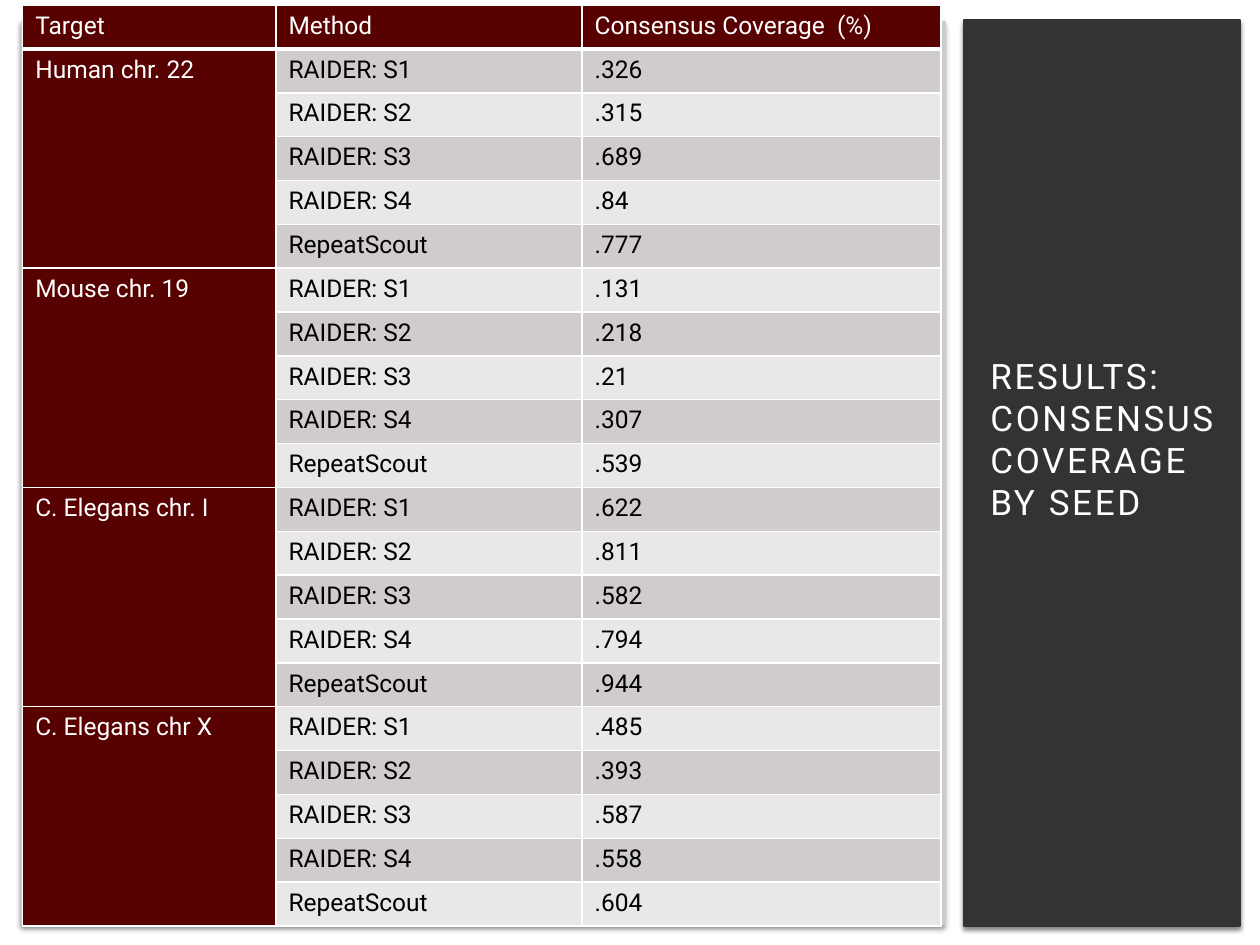
from dataclasses import dataclass

from lxml.etree import SubElement
from pptx import Presentation
from pptx.dml.color import RGBColor
from pptx.enum.shapes import MSO_SHAPE
from pptx.enum.text import MSO_ANCHOR, MSO_AUTO_SIZE, PP_ALIGN
from pptx.oxml.ns import qn
from pptx.util import Inches, Pt


@dataclass(frozen=True)
class Theme:
    font: str = "Roboto"
    background: str = "FFFFFF"
    panel: str = "CCCCCC"
    sidebar: str = "333333"
    heading: str = "580101"
    bands: tuple = ("D1CCCC", "EAE7E7")
    light: str = "FFFFFF"
    dark: str = "000000"
    title_size: int = 20
    table_size: int = 14


class SlideBuilder:
    def __init__(self, presentation, theme):
        self.theme = theme
        self.slide = presentation.slides.add_slide(presentation.slide_layouts[5])
        fill = self.slide.background.fill
        fill.solid()
        fill.fore_color.rgb = RGBColor.from_string(theme.background)

    def add_run(self, paragraph, text, size, color):
        run = paragraph.add_run()
        run.text = text
        run.font.name = self.theme.font
        run.font.size = Pt(size)
        run.font.bold = False
        run.font.color.rgb = RGBColor.from_string(color)
        return run

    def add_panel(self, left, top, width, height, color):
        shape = self.slide.shapes.add_shape(
            MSO_SHAPE.RECTANGLE, Inches(left), Inches(top), Inches(width), Inches(height)
        )
        shape.fill.solid()
        shape.fill.fore_color.rgb = RGBColor.from_string(color)
        shape.line.color.rgb = RGBColor.from_string(color)
        shape.line.width = Pt(0.79)
        shape.shadow.inherit = False
        effects = shape._element.spPr.find(qn("a:effectLst"))
        shadow = SubElement(
            effects, qn("a:outerShdw"),
            blurRad=str(Pt(2.5)), dist=str(Pt(2)), dir="5400000", rotWithShape="0",
        )
        color_element = SubElement(shadow, qn("a:srgbClr"), val=self.theme.dark)
        SubElement(color_element, qn("a:alpha"), val="50000")

    def add_title(self, text, left, top, width, height):
        title = self.slide.shapes.title
        title.left, title.top = Inches(left), Inches(top)
        title.width, title.height = Inches(width), Inches(height)
        frame = title.text_frame
        frame.word_wrap = True
        frame.auto_size = MSO_AUTO_SIZE.NONE
        frame.vertical_anchor = MSO_ANCHOR.BOTTOM
        paragraph = frame.paragraphs[0]
        paragraph.alignment = PP_ALIGN.LEFT
        run = self.add_run(paragraph, text, self.theme.title_size, self.theme.light)
        run.font._element.set("spc", "150")
        self.slide.shapes._spTree.append(title._element)

    def format_cell(self, cell, fill, top=1, bottom=1):
        properties = cell._tc.get_or_add_tcPr()
        for side, width in (("L", 1), ("R", 1), ("T", top), ("B", bottom)):
            line = SubElement(properties, qn(f"a:ln{side}"), w=str(Pt(width)))
            line_fill = SubElement(line, qn("a:solidFill"))
            SubElement(line_fill, qn("a:srgbClr"), val=self.theme.light)
        cell.fill.solid()
        cell.fill.fore_color.rgb = RGBColor.from_string(fill)

    def add_table(self, headers, groups, methods, left, top, widths, height):
        theme = self.theme
        rows = [headers]
        for target, values in groups:
            for index, (method, value) in enumerate(zip(methods, values)):
                rows.append((target if index == 0 else "", method, value))
        table = self.slide.shapes.add_table(
            len(rows), len(headers), Inches(left), Inches(top),
            Inches(sum(widths)), Inches(height),
        ).table
        table.first_row = table.horz_banding = False
        for column, width in zip(table.columns, widths):
            column.width = Inches(width)
        for row_index, values in enumerate(rows):
            table.rows[row_index].height = Inches(height / len(rows))
            for column_index, text in enumerate(values):
                cell = table.cell(row_index, column_index)
                is_heading = row_index == 0 or column_index == 0
                fill = theme.heading if is_heading else theme.bands[(row_index - 1) % 2]
                self.format_cell(
                    cell, fill,
                    top=3 if row_index == 1 else 1,
                    bottom=3 if row_index == 0 else 1,
                )
                if text:
                    color = theme.light if is_heading else theme.dark
                    self.add_run(cell.text_frame.paragraphs[0], text, theme.table_size, color)
        for start in range(1, len(rows), len(methods)):
            table.cell(start, 0).merge(table.cell(start + len(methods) - 1, 0))


HEADERS = ("Target", "Method", "Consensus Coverage  (%)")
METHODS = ("RAIDER: S1", "RAIDER: S2", "RAIDER: S3", "RAIDER: S4", "RepeatScout")
COVERAGE = (
    ("Human chr. 22", (".326", ".315", ".689", ".84", ".777")),
    ("Mouse chr. 19", (".131", ".218", ".21", ".307", ".539")),
    ("C. Elegans chr. I", (".622", ".811", ".582", ".794", ".944")),
    ("C. Elegans chr X", (".485", ".393", ".587", ".558", ".604")),
)


def main():
    presentation = Presentation()
    presentation.slide_width, presentation.slide_height = Inches(10), Inches(7.5)
    theme = Theme()
    builder = SlideBuilder(presentation, theme)
    builder.add_panel(0.17, 0.17, 7.33, 7.17, theme.panel)
    builder.add_table(HEADERS, COVERAGE, METHODS, 0.18, 0.04, (2.01, 2.43, 2.85), 7.31)
    builder.add_panel(7.65, 0.16, 2.19, 7.19, theme.sidebar)
    builder.add_title("RESULTS: CONSENSUS COVERAGE BY SEED", 7.76, 2.37, 2.01, 1.83)
    presentation.save("out.pptx")


if __name__ == "__main__":
    main()
